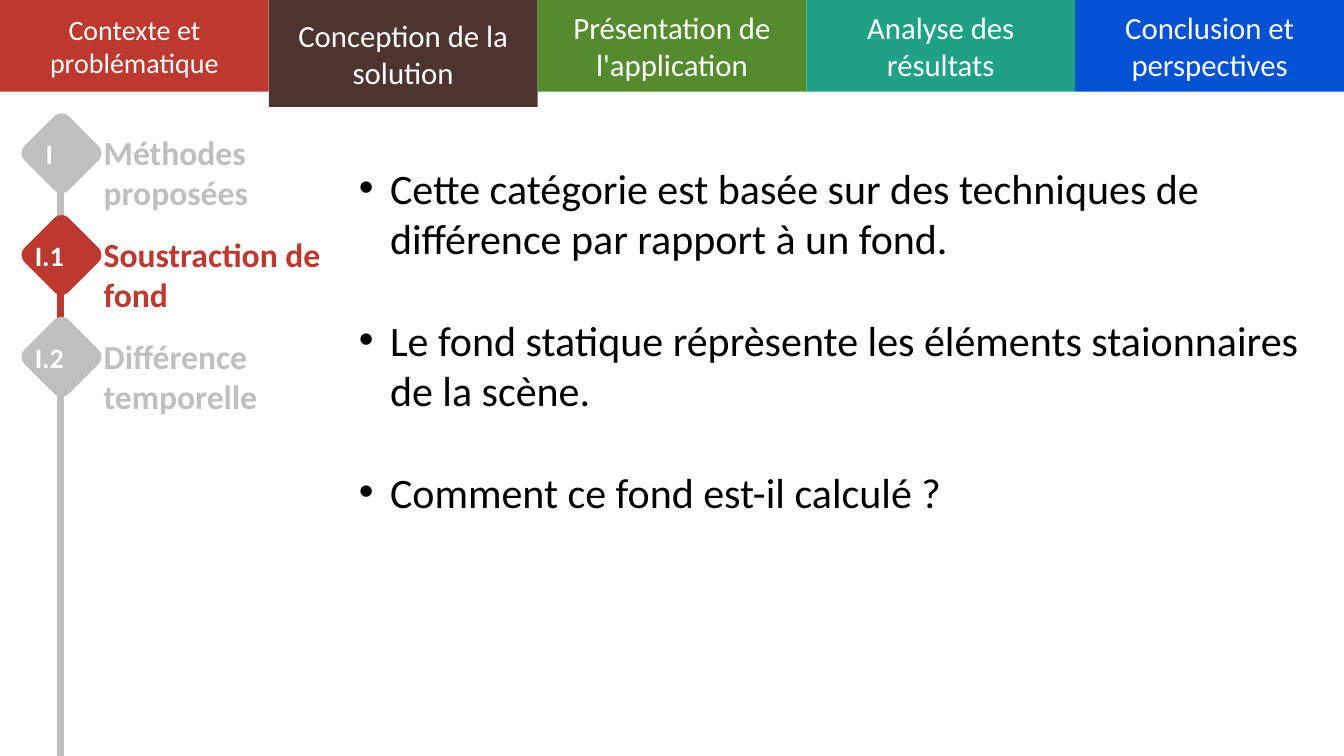
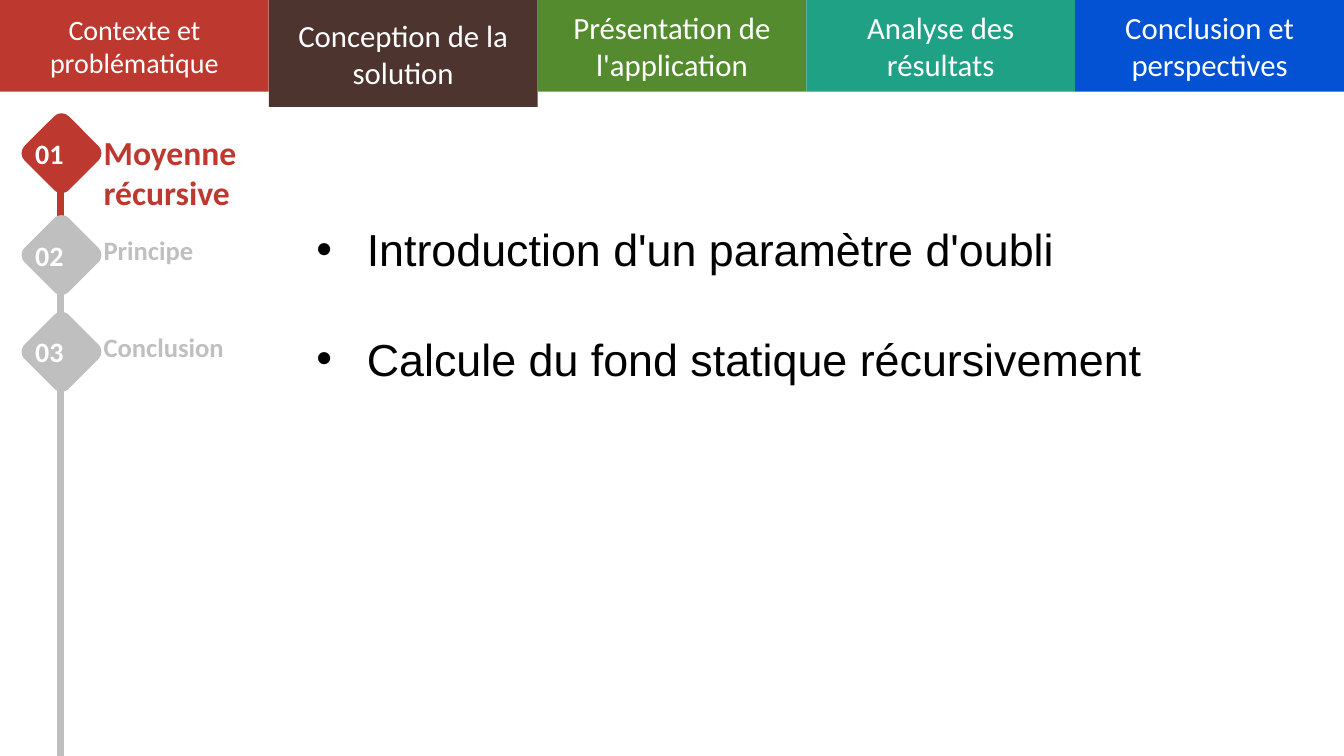
from lxml import etree
from pptx import Presentation
from pptx.dml.color import RGBColor
from pptx.enum.shapes import MSO_CONNECTOR, MSO_SHAPE
from pptx.enum.text import MSO_ANCHOR, PP_ALIGN
from pptx.oxml.ns import qn
from pptx.util import Inches, Pt

WHITE, BLACK, RED, GREY = "FFFFFF", "000000", "BD392F", "BFBFBF"
PAGE_WIDTH, PAGE_HEIGHT = 13.33, 7.5

# Navigation tabs: text, colour, size
TABS = [
    ("Contexte et problématique", RED, 20),
    ("Conception de la solution", "4E342E", 22),
    ("Présentation de l'application", "558B2F", 22),
    ("Analyse des résultats", "1EA185", 22),
    ("Conclusion et perspectives", "0252D3", 22),
]
ACTIVE_TAB = 1
TAB_HEIGHT, ACTIVE_TAB_HEIGHT = 0.91, 1.06

# Timeline geometry
DIAMOND = 0.62
DIAMOND_LEFT = 0.3
LINE_X = 0.6

# Steps: number, label, label size, top of the diamond
PAGES = [
    dict(
        steps=[("I", "Méthodes proposées", 24, 1.21),
               ("I.1", "Soustraction de fond", 24, 2.22),
               ("I.2", "Différence temporelle", 24, 3.23)],
        active=1,
        bullets=["Cette catégorie est basée sur des techniques de différence "
                 "par rapport à un fond.",
                 "Le fond statique réprèsente les éléments staionnaires de la scène.",
                 "Comment ce fond est-il calculé ?"],
        area=(3.46, 1.56, 9.55, 4.1),
        style=dict(size=30, font="Calibri", indent=0.31, gap=36.6),
    ),
    dict(
        steps=[("01", "Moyenne récursive", 24, 1.21),
               ("02", "Principe", 19, 2.22),
               ("03", "Conclusion", 19, 3.18)],
        active=0,
        bullets=["Introduction d'un paramètre d'oubli",
                 "Calcule du fond statique récursivement"],
        area=(3.04, 2.15, 8.93, 1.7),
        style=dict(size=32, font="Arial", indent=0.5, gap=40),
    ),
]


def rgb(color):
    return RGBColor.from_string(color)


def add_bullet(para, indent):
    props = para._p.get_or_add_pPr()
    props.set("marL", str(Inches(indent)))
    props.set("indent", str(-Inches(indent)))
    etree.SubElement(props, qn("a:buFont")).set("typeface", "Arial")
    etree.SubElement(props, qn("a:buChar")).set("char", "•")


def write(shape, *texts, size, color=WHITE, font="Calibri", bold=False,
          align=PP_ALIGN.LEFT, anchor=MSO_ANCHOR.TOP, indent=0, gap=0):
    frame = shape.text_frame
    frame.word_wrap = True
    frame.vertical_anchor = anchor
    for index, text in enumerate(texts):
        para = frame.add_paragraph() if index else frame.paragraphs[0]
        if indent:
            add_bullet(para, indent)
        para.alignment = align
        if index:
            para.space_before = Pt(gap)
        span = para.add_run()
        span.text = text
        span.font.size, span.font.name, span.font.bold = Pt(size), font, bold
        span.font.color.rgb = rgb(color)


def add_box(page, kind, left, top, width, height, color):
    box = page.shapes.add_shape(kind, *map(Inches, (left, top, width, height)))
    box.shadow.inherit = False
    box.fill.solid()
    box.fill.fore_color.rgb = rgb(color)
    box.line.fill.background()
    return box


def add_text(page, area, *texts, **style):
    write(page.shapes.add_textbox(*map(Inches, area)), *texts, **style)


def add_segment(page, top, bottom, color):
    line = page.shapes.add_connector(
        MSO_CONNECTOR.STRAIGHT, *map(Inches, (LINE_X, top, LINE_X, bottom)))
    line.line.color.rgb = rgb(color)
    line.line.width = Pt(5)
    etree.SubElement(line._element.spPr, qn("a:effectLst"))


def add_tabs(page):
    width = PAGE_WIDTH / len(TABS)
    for index, (text, color, size) in enumerate(TABS):
        height = ACTIVE_TAB_HEIGHT if index == ACTIVE_TAB else TAB_HEIGHT
        tab = add_box(page, MSO_SHAPE.RECTANGLE, index * width, 0, width, height, color)
        write(tab, text, size=size, align=PP_ALIGN.CENTER, anchor=MSO_ANCHOR.MIDDLE)


def add_timeline(page, steps, active):
    colors = [RED if index == active else GREY for index in range(len(steps))]
    tops = [step[3] for step in steps]

    # Each segment runs from its own diamond to the next one
    for top, bottom, color in zip(tops, tops[1:] + [PAGE_HEIGHT], colors):
        add_segment(page, top + DIAMOND / 2, bottom, color)

    for (number, label, size, top), color in zip(steps, colors):
        diamond = add_box(page, MSO_SHAPE.ROUNDED_RECTANGLE,
                          DIAMOND_LEFT, top, DIAMOND, DIAMOND, color)
        diamond.rotation = 45
        add_text(page, (0.09, top, 0.8, DIAMOND), number, size=20, bold=True,
                 align=PP_ALIGN.CENTER, anchor=MSO_ANCHOR.MIDDLE)
        add_text(page, (0.93, top + 0.05, 2.4, 0.9), label,
                 size=size, color=color, bold=True)


def main():
    deck = Presentation()
    deck.slide_width, deck.slide_height = Inches(PAGE_WIDTH), Inches(PAGE_HEIGHT)
    for content in PAGES:
        page = deck.slides.add_slide(deck.slide_layouts[6])
        add_timeline(page, content["steps"], content["active"])
        add_tabs(page)
        add_text(page, content["area"], *content["bullets"],
                 color=BLACK, **content["style"])
    deck.save("out.pptx")


if __name__ == "__main__":
    main()
